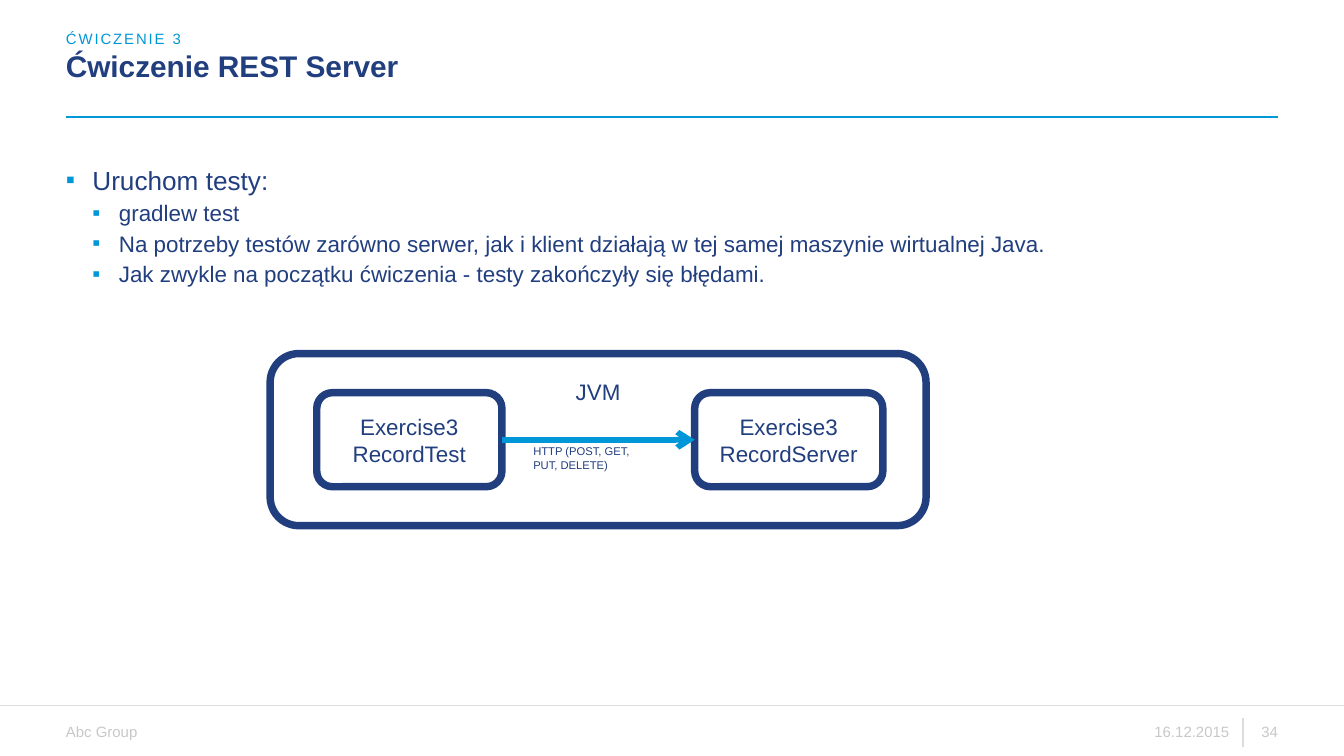
from lxml import etree
from pptx import Presentation
from pptx.dml.color import RGBColor
from pptx.enum.shapes import MSO_CONNECTOR, MSO_SHAPE
from pptx.enum.text import MSO_ANCHOR, MSO_AUTO_SIZE, PP_ALIGN
from pptx.oxml.ns import qn
from pptx.util import Pt

NAVY = RGBColor(0x21, 0x3E, 0x7F)
BLUE = RGBColor(0x00, 0x97, 0xD9)
WHITE = RGBColor(0xFF, 0xFF, 0xFF)
RULE_GREY = RGBColor(0xDC, 0xDC, 0xDC)
TEXT_GREY = RGBColor(0xC8, 0xC8, 0xC8)

LEFT, CENTER, RIGHT = PP_ALIGN.LEFT, PP_ALIGN.CENTER, PP_ALIGN.RIGHT
TOP, MIDDLE, BOTTOM = MSO_ANCHOR.TOP, MSO_ANCHOR.MIDDLE, MSO_ANCHOR.BOTTOM
NO_AUTOFIT = MSO_AUTO_SIZE.NONE
STRAIGHT = MSO_CONNECTOR.STRAIGHT
ROUNDED = MSO_SHAPE.ROUNDED_RECTANGLE

FONT = "Arial"
WIDTH, HEIGHT = 720, 405
MARGIN = 35.3
INDENT = 14.2


def write_text(shape, lines, size, color, bold=False, align=LEFT, anchor=TOP,
               inset=0, wrap=True, line_spacing=None):
    """Fill a shape with one paragraph per line and return the paragraphs."""
    frame = shape.text_frame
    frame.text = "\n".join(lines)
    frame.auto_size = NO_AUTOFIT
    frame.word_wrap = wrap
    frame.vertical_anchor = anchor
    frame.margin_left = frame.margin_right = Pt(inset)
    frame.margin_top = frame.margin_bottom = Pt(inset)
    for paragraph in frame.paragraphs:
        paragraph.alignment = align
        paragraph.space_before = Pt(0)
        if line_spacing:
            paragraph.line_spacing = Pt(line_spacing)
        font = paragraph.runs[0].font
        font.name, font.size, font.bold = FONT, Pt(size), bold
        font.color.rgb = color
    return frame.paragraphs


def place(shape, left, top, width, height):
    shape.left, shape.top = Pt(left), Pt(top)
    shape.width, shape.height = Pt(width), Pt(height)


def add_label(slide, box, lines, size, color, **text_format):
    label = slide.shapes.add_textbox(*map(Pt, box))
    write_text(label, lines, size, color, **text_format)


def add_line(slide, start, end, color, width):
    line = slide.shapes.add_connector(STRAIGHT, *map(Pt, start + end))
    line.line.color.rgb = color
    line.line.width = Pt(width)
    etree.SubElement(line._element.spPr, qn("a:effectLst"))
    return line


def set_bullet(paragraph, level):
    properties = paragraph._p.get_or_add_pPr()
    properties.set("marL", str(Pt(INDENT * (level + 1))))
    properties.set("indent", str(-Pt(INDENT)))
    bullet_color = etree.SubElement(properties, qn("a:buClr"))
    etree.SubElement(bullet_color, qn("a:srgbClr"), val=str(BLUE))
    etree.SubElement(properties, qn("a:buFont"), typeface=FONT)
    etree.SubElement(properties, qn("a:buChar"), char="▪")


def add_header(slide, left, top, width):
    # Small heading above the title
    eyebrow = slide.placeholders[2]
    place(eyebrow, left, top, width, 9.4)
    paragraph = write_text(eyebrow, ["ĆWICZENIE 3"], 8, BLUE, anchor=BOTTOM)[0]
    properties = paragraph._p.get_or_add_pPr()
    properties.set("marL", "0")
    properties.set("indent", "0")
    etree.SubElement(properties, qn("a:buNone"))
    paragraph.runs[0].font._element.set("spc", "100")

    # Title and the rule under it
    title = slide.shapes.title
    place(title, left, top + 11.5, width, 17.3)
    write_text(title, ["Ćwiczenie REST Server"], 16, NAVY, bold=True,
               line_spacing=17)
    add_line(slide, (left, top + 46.6), (WIDTH - left, top + 46.6), BLUE, 0.75)


def add_task_list(slide, left, top, width, height):
    items = [
        (0, "Uruchom testy:"),
        (1, "gradlew test"),
        (1, "Na potrzeby testów zarówno serwer, jak i klient działają "
            "w tej samej maszynie wirtualnej Java."),
        (1, "Jak zwykle na początku ćwiczenia - testy zakończyły się błędami."),
    ]
    body = slide.placeholders[1]
    place(body, left, top, width, height)
    paragraphs = write_text(body, [text for _, text in items], 12, NAVY)
    for paragraph, (level, _) in zip(paragraphs, items):
        paragraph.level = level
        paragraph.space_before = Pt(2 if level else 6)
        paragraph.runs[0].font.size = Pt(12 if level else 14)
        set_bullet(paragraph, level)


def add_frame(slide, box, lines, anchor):
    frame = slide.shapes.add_shape(ROUNDED, *map(Pt, box))
    frame.shadow.inherit = False
    frame.fill.solid()
    frame.fill.fore_color.rgb = WHITE
    frame.line.color.rgb = NAVY
    frame.line.width = Pt(4)
    write_text(frame, lines, 12, NAVY, align=CENTER, anchor=anchor, inset=8.6)
    return frame


def add_jvm_diagram(slide, left, top, width, height):
    # Virtual machine with the two programs inside
    add_frame(slide, (left, top, width, height), ["JVM"], TOP)
    inner_top, inner_height = top + 21, 50.4
    server = add_frame(slide, (left + 227.5, inner_top, 100.8, inner_height),
                       ["Exercise3", "RecordServer"], MIDDLE)
    test = add_frame(slide, (left + 25, inner_top, 99.2, inner_height),
                     ["Exercise3", "RecordTest"], MIDDLE)

    # Request arrow and its label
    middle = inner_top + inner_height / 2
    arrow = add_line(slide, (left + 124.2, middle), (left + 227.5, middle),
                     BLUE, 3)
    arrow.begin_connect(test, 3)
    arrow.end_connect(server, 1)
    etree.SubElement(arrow.line._get_or_add_ln(), qn("a:tailEnd"), type="arrow")
    add_label(slide, (left + 141, middle + 2.7, 60.5, 14.4),
              ["HTTP (POST, GET, PUT, DELETE)"], 6, NAVY)


def add_footer(slide, left, top, width):
    add_line(slide, (-2, top), (WIDTH + 2, top), RULE_GREY, 0.75)
    right = left + width
    text_top, text_height = top + 9.4, 9.4
    for text, text_left, text_width, align in (
        ("Abc Group", left, 41, LEFT),
        ("16.12.2015", right - 67, 41, RIGHT),
        ("34", right - 16, 16, RIGHT),
    ):
        add_label(slide, (text_left, text_top, text_width, text_height), [text],
                  8, TEXT_GREY, align=align, anchor=MIDDLE, wrap=False)
    add_line(slide, (right - 18.7, top + 6.5), (right - 18.7, top + 22.3),
             RULE_GREY, 0.75)


def main():
    presentation = Presentation()
    presentation.slide_width, presentation.slide_height = Pt(WIDTH), Pt(HEIGHT)
    two_content_layout = presentation.slide_layouts[3]
    slide = presentation.slides.add_slide(two_content_layout)

    add_header(slide, MARGIN, 16, 527)
    add_task_list(slide, MARGIN, 87.8, 628.6, 265)
    add_jvm_diagram(slide, 144.7, 189.4, 351.4, 92.2)
    add_footer(slide, MARGIN, 378, WIDTH - 2 * MARGIN)
    presentation.save("out.pptx")


if __name__ == "__main__":
    main()
